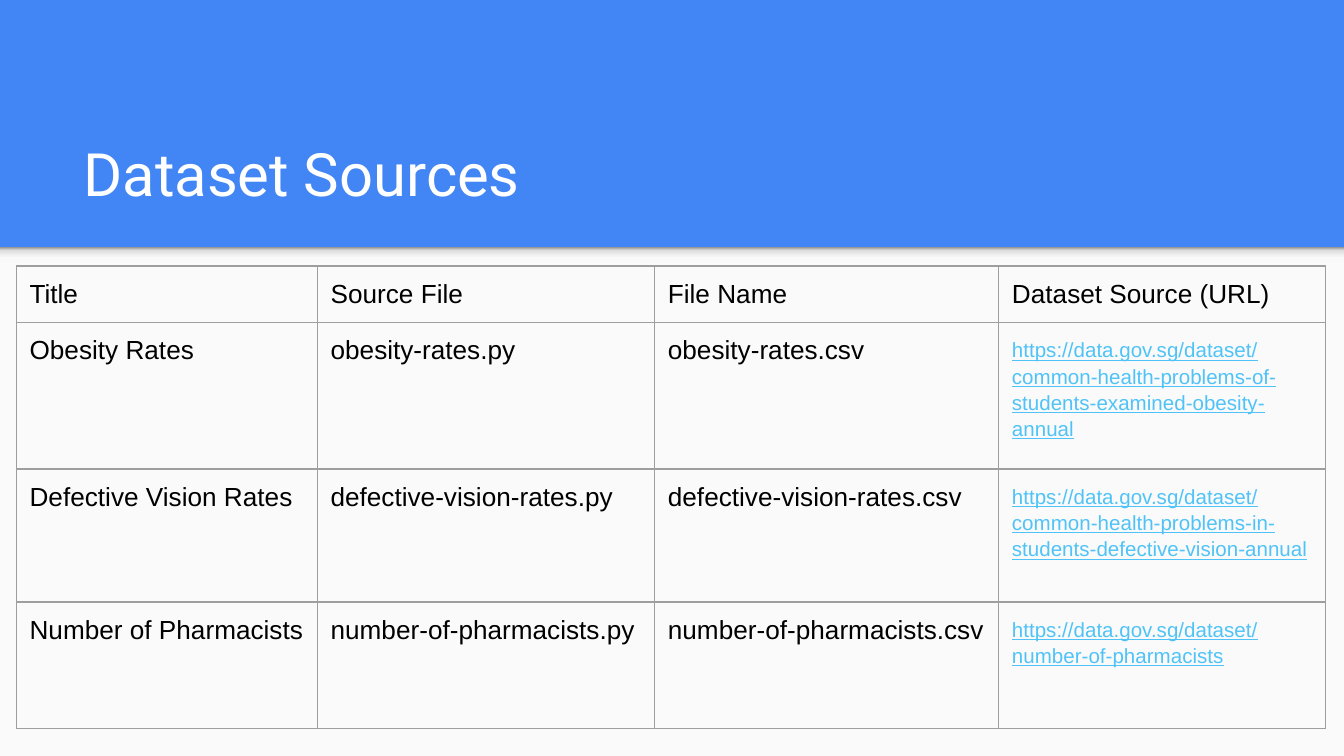
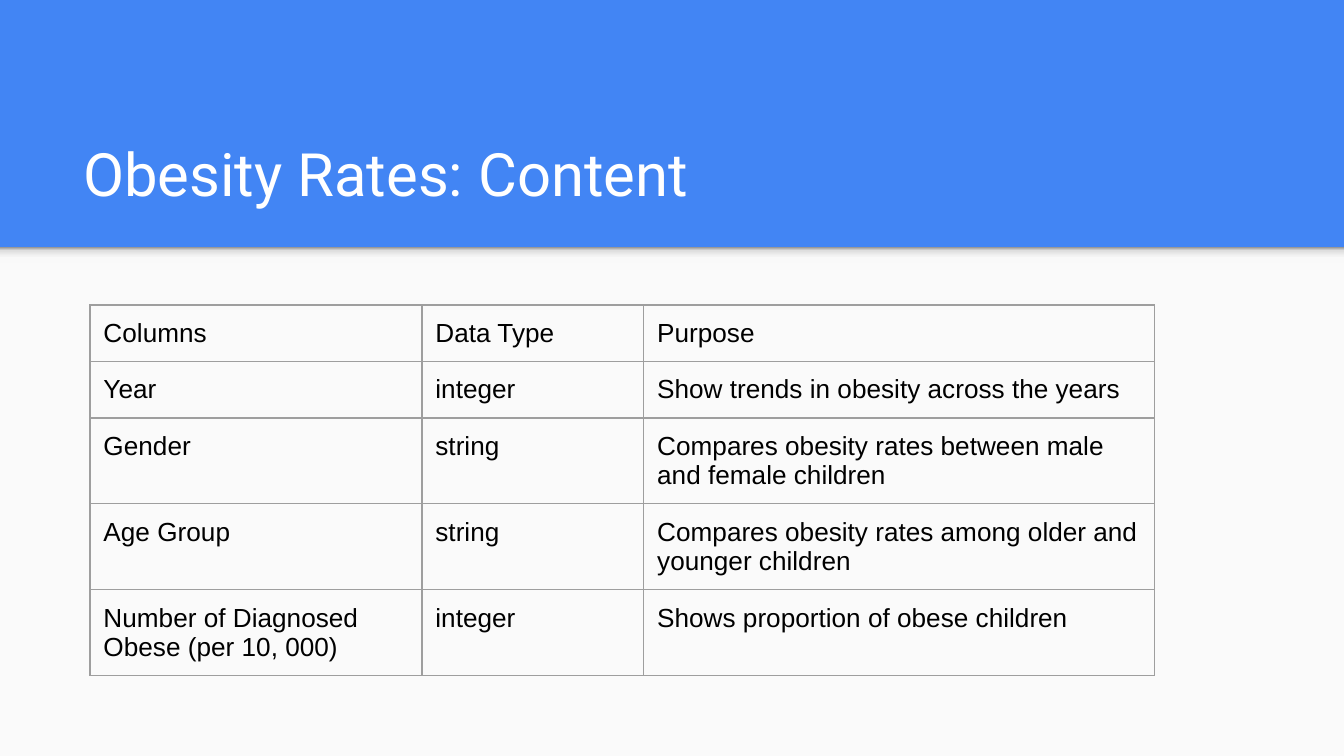
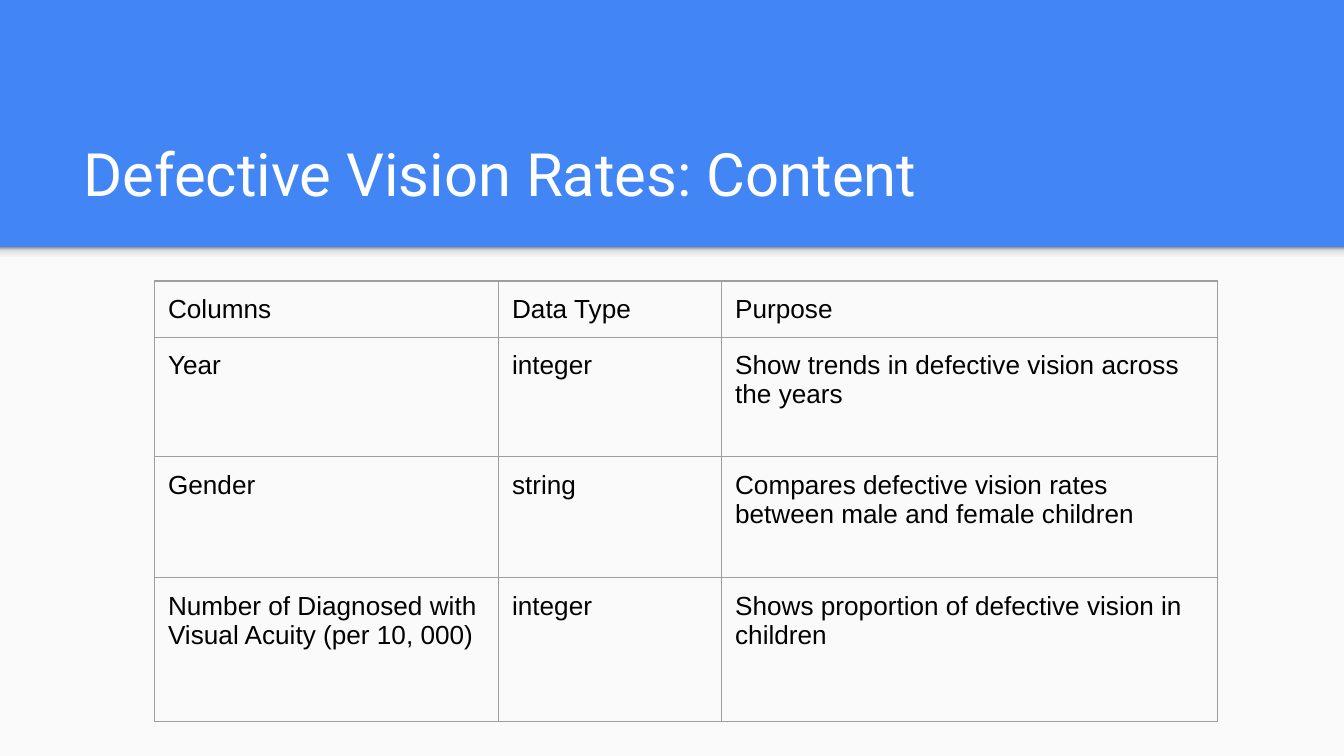
from copy import deepcopy

from lxml import etree
from pptx import Presentation
from pptx.dml.color import RGBColor
from pptx.enum.shapes import MSO_SHAPE
from pptx.enum.text import MSO_ANCHOR, MSO_AUTO_SIZE, PP_ALIGN
from pptx.oxml.ns import qn
from pptx.util import Inches, Pt

RECTANGLE = MSO_SHAPE.RECTANGLE
BOTTOM, TOP = MSO_ANCHOR.BOTTOM, MSO_ANCHOR.TOP
NO_FIT = MSO_AUTO_SIZE.NONE
LEFT = PP_ALIGN.LEFT

BLUE = RGBColor(0x42, 0x85, 0xF4)
PAPER = RGBColor(0xFA, 0xFA, 0xFA)
WHITE = RGBColor(0xFF, 0xFF, 0xFF)
BLACK = RGBColor(0x00, 0x00, 0x00)
LINK = RGBColor(0x4F, 0xC3, 0xF7)
RULE = RGBColor(0x9E, 0x9E, 0x9E)
SHADE_STOPS = [
    (0, RGBColor(0xF9, 0xF9, 0xF9)),
    (0.36, RGBColor(0xF9, 0xF9, 0xF9)),
    (0.8, RGBColor(0xDE, 0xDE, 0xDE)),
    (1, RGBColor(0x99, 0x99, 0x99)),
]

WIDTH = Inches(10)
HEIGHT = WIDTH * 9 // 16
HEADER_HEIGHT = Inches(1.84)
SHADE_HEIGHT = Inches(0.12)
LINE_ROW, TWO_LINE_ROW = 0.42, 0.64
RULE_WIDTH = Pt(0.75)

INSETS = {f"margin_{side}": Inches(0.1) for side in ("left", "top", "right", "bottom")}
TITLE_PLACE = {"left": Inches(0.52), "top": Inches(0.81), "width": Inches(8.99), "height": Inches(0.84)}
TITLE_FRAME = {**INSETS, "vertical_anchor": BOTTOM, "word_wrap": True, "auto_size": NO_FIT}
TITLE_FONT = {"name": "Roboto", "size": Pt(32), "bold": False}
CELL_FORMAT = {**INSETS, "vertical_anchor": TOP}
CELL_FONT = {"name": "Arial", "size": Pt(14), "bold": False}
LINK_FONT = {"name": "Arial", "size": Pt(11), "bold": False, "underline": True}
LINK_PARAGRAPH = {"line_spacing": 1.15, "space_after": Pt(16)}

PAGES = [
    {
        "title": "Dataset Sources",
        "corner": (0.12, 1.98),
        "columns": [2.24, 2.51, 2.56, 2.43],
        "rows": [LINE_ROW, 1.09, 0.99, 0.94],
        "cells": [
            ["Title", "Source File", "File Name", "Dataset Source (URL)"],
            ["Obesity Rates", "obesity-rates.py", "obesity-rates.csv",
             "https://data.gov.sg/dataset/common-health-problems-of-students-examined-obesity-annual"],
            ["Defective Vision Rates", "defective-vision-rates.py", "defective-vision-rates.csv",
             "https://data.gov.sg/dataset/common-health-problems-in-students-defective-vision-annual"],
            ["Number of Pharmacists", "number-of-pharmacists.py", "number-of-pharmacists.csv",
             "https://data.gov.sg/dataset/number-of-pharmacists"],
        ],
    },
    {
        "title": "Obesity Rates: Content",
        "corner": (0.67, 2.27),
        "columns": [2.47, 1.65, 3.8],
        "rows": [LINE_ROW] * 2 + [TWO_LINE_ROW] * 3,
        "cells": [
            ["Columns", "Data Type", "Purpose"],
            ["Year", "integer", "Show trends in obesity across the years"],
            ["Gender", "string", "Compares obesity rates between male and female children"],
            ["Age Group", "string", "Compares obesity rates among older and younger children"],
            ["Number of Diagnosed Obese (per 10, 000)", "integer", "Shows proportion of obese children"],
        ],
    },
    {
        "title": "Defective Vision Rates: Content",
        "corner": (1.15, 2.09),
        "columns": [2.56, 1.66, 3.69],
        "rows": [LINE_ROW, 0.89, 0.9, 1.07],
        "cells": [
            ["Columns", "Data Type", "Purpose"],
            ["Year", "integer", "Show trends in defective vision across the years"],
            ["Gender", "string", "Compares defective vision rates between male and female children"],
            ["Number of Diagnosed with Visual Acuity (per 10, 000)", "integer",
             "Shows proportion of defective vision in children"],
        ],
    },
]


def apply_format(target, values):
    for name, value in values.items():
        setattr(target, name, value)


def draw_borders(cell):
    properties = cell._tc.get_or_add_tcPr()
    for position, side in enumerate(("lnL", "lnR", "lnT", "lnB")):
        line = etree.Element(qn(f"a:{side}"), w=str(RULE_WIDTH))
        fill = etree.SubElement(line, qn("a:solidFill"))
        etree.SubElement(fill, qn("a:srgbClr"), val=str(RULE))
        properties.insert(position, line)


deck = Presentation()
deck.slide_width, deck.slide_height = WIDTH, HEIGHT
layout = deck.slide_layouts.get_by_name("Title Only")
background = deck.slide_master.background.fill
background.solid()
background.fore_color.rgb = BLUE

pages = [deck.slides.add_slide(layout) for _ in PAGES]

panel = pages[0].shapes.add_shape(RECTANGLE, 0, HEADER_HEIGHT, WIDTH, HEIGHT - HEADER_HEIGHT)
panel.fill.solid()
panel.fill.fore_color.rgb = PAPER
shade = pages[0].shapes.add_shape(RECTANGLE, 0, HEADER_HEIGHT, WIDTH, SHADE_HEIGHT)
shade.fill.gradient()
shade.fill.gradient_angle = 90
stop_list = shade._element.spPr.find(f".//{qn('a:gsLst')}")
while len(stop_list) < len(SHADE_STOPS):
    stop_list.append(deepcopy(stop_list[0]))
for stop, (position, color) in zip(shade.fill.gradient_stops, SHADE_STOPS):
    stop.position = position
    stop.color.rgb = color
for depth, shape in enumerate((panel, shade), start=2):
    shape.shadow.inherit = False
    shape.line.fill.background()
    layout.shapes._spTree.insert(depth, shape._element)

for page, content in zip(pages, PAGES):
    title = page.shapes.title
    apply_format(title, TITLE_PLACE)
    apply_format(title.text_frame, TITLE_FRAME)
    title.text_frame.text = content["title"]
    para = title.text_frame.paragraphs[0]
    para.alignment = LEFT
    span = para.runs[0]
    apply_format(span.font, TITLE_FONT)
    span.font.color.rgb = WHITE

    columns, rows = content["columns"], content["rows"]
    left, top = content["corner"]
    table = page.shapes.add_table(
        len(rows), len(columns), Inches(left), Inches(top), Inches(sum(columns)), Inches(sum(rows))
    ).table
    apply_format(table, {"first_row": False, "horz_banding": False})
    for column, width in zip(table.columns, columns):
        column.width = Inches(width)
    for row, height, texts in zip(table.rows, rows, content["cells"]):
        row.height = Inches(height)
        for cell, text in zip(row.cells, texts):
            is_link = text.startswith("https://")
            apply_format(cell, CELL_FORMAT)
            cell.fill.background()
            draw_borders(cell)
            cell.text = text
            para = cell.text_frame.paragraphs[0]
            apply_format(para, LINK_PARAGRAPH if is_link else {})
            span = para.runs[0]
            apply_format(span.font, LINK_FONT if is_link else CELL_FONT)
            span.font.color.rgb = LINK if is_link else BLACK

deck.save("out.pptx")
